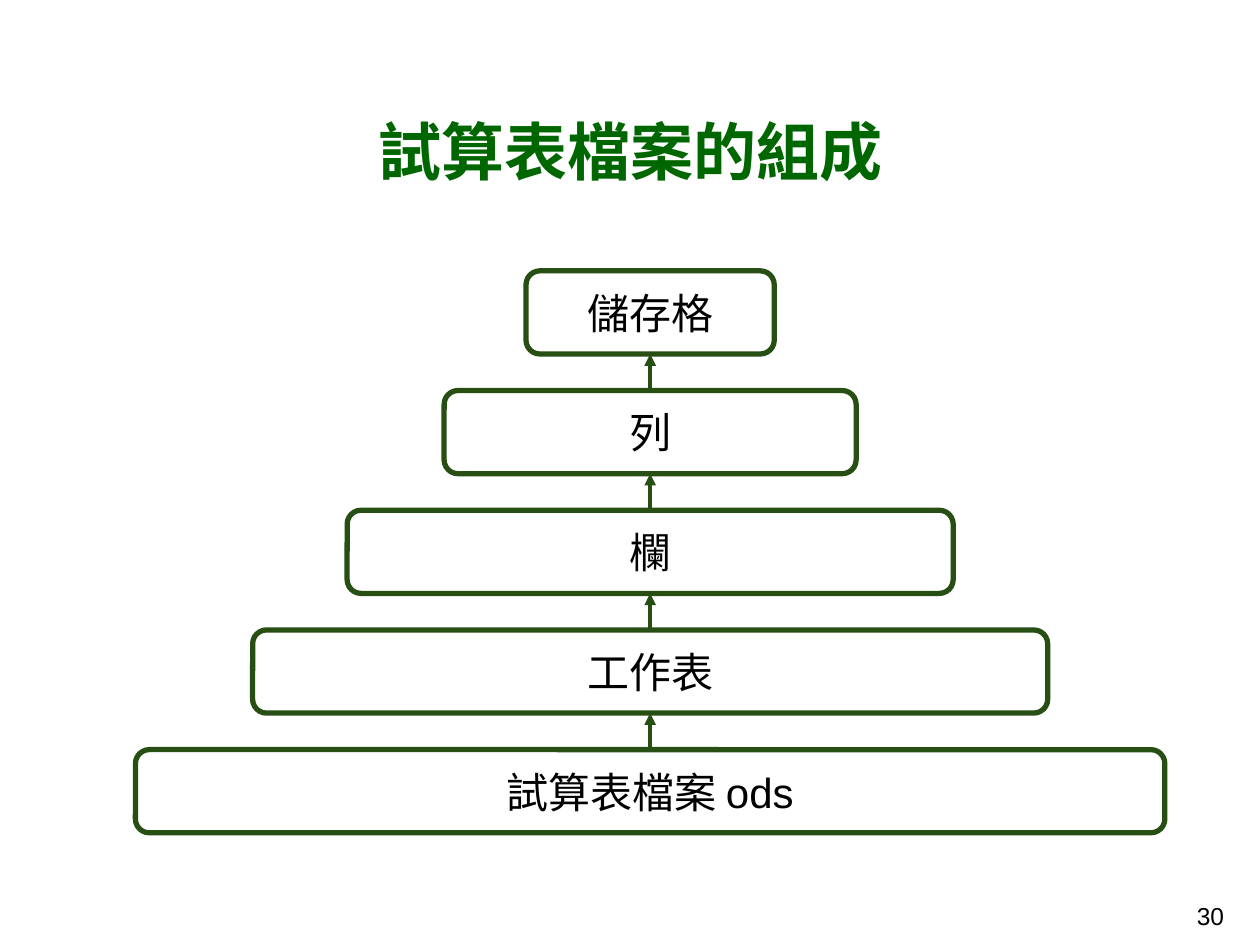
"""Build a slide showing the parts of a spreadsheet file as a stack of boxes."""
from lxml import etree
from pptx import Presentation
from pptx.dml.color import RGBColor
from pptx.enum.shapes import MSO_CONNECTOR, MSO_SHAPE
from pptx.enum.text import MSO_ANCHOR, PP_ALIGN
from pptx.oxml.ns import qn
from pptx.util import Inches, Pt

TITLE = "試算表檔案的組成"
NUMBER = "30"
LEVELS = [
    ("儲存格", 1.97),
    ("列", 3.27),
    ("欄", 4.81),
    ("工作表", 6.31),
    ("試算表檔案 ods", 8.17),
]
MID, TOP, STEP, HIGH = 5.16, 2.15, 0.95, 0.66

GREEN = RGBColor(0x00, 0x66, 0x00)
DARK = RGBColor(0x27, 0x4E, 0x13)
BLACK = RGBColor(0, 0, 0)
WHITE = RGBColor(255, 255, 255)
LATIN, ASIAN = "Arial", "Noto Sans CJK SC"
ROUND = MSO_SHAPE.ROUNDED_RECTANGLE
STRAIGHT = MSO_CONNECTOR.STRAIGHT
MIDDLE = MSO_ANCHOR.MIDDLE
LEFT, CENTER = PP_ALIGN.LEFT, PP_ALIGN.CENTER


def write(shape, text, size, color=BLACK, align=CENTER, face=LATIN, bold=False):
    frame = shape.text_frame
    frame.word_wrap = True
    frame.vertical_anchor = MIDDLE
    frame.margin_left = frame.margin_right = Inches(0.1)
    frame.margin_top = frame.margin_bottom = Inches(0.1)
    para = frame.paragraphs[0]
    para.alignment = align
    run = para.add_run()
    run.text = text
    font = run.font
    font.size, font.bold, font.name = Pt(size), bold, face
    font.color.rgb = color
    east = etree.SubElement(run._r.get_or_add_rPr(), qn("a:ea"))
    east.set("typeface", ASIAN)


def add_box(slide, text, width, top):
    box = slide.shapes.add_shape(
        ROUND, Inches(MID - width / 2), Inches(top), Inches(width), Inches(HIGH))
    box.shadow.inherit = False
    box.adjustments[0] = 0.167
    box.fill.solid()
    box.fill.fore_color.rgb = WHITE
    box.line.color.rgb = DARK
    box.line.width = Pt(3)
    write(box, text, 24)
    return box


def add_arrow(slide, lower, upper):
    arrow = slide.shapes.add_connector(STRAIGHT, 0, 0, 0, 0)
    arrow.begin_connect(lower, 0)
    arrow.end_connect(upper, 2)
    arrow.line.color.rgb = DARK
    arrow.line.width = Pt(2.25)
    etree.SubElement(arrow.line._get_or_add_ln(), qn("a:tailEnd"), type="triangle")
    etree.SubElement(arrow._element.spPr, qn("a:effectLst"))


def main():
    deck = Presentation()
    deck.slide_width, deck.slide_height = Inches(10), Inches(7.5)
    slide = deck.slides.add_slide(deck.slide_layouts[5])

    title = slide.shapes.title
    title.left, title.top = Inches(0.34), Inches(0.75)
    title.width, title.height = Inches(9.32), Inches(0.89)
    write(title, TITLE, 36, GREEN, face=ASIAN, bold=True)

    number = slide.shapes.add_textbox(
        Inches(9.4), Inches(7.04), Inches(0.6), Inches(0.46))
    write(number, NUMBER, 14, align=LEFT)

    boxes = [add_box(slide, text, width, TOP + row * STEP)
             for row, (text, width) in enumerate(LEVELS)]
    for upper, lower in zip(boxes, boxes[1:]):
        add_arrow(slide, lower, upper)

    deck.save("out.pptx")


if __name__ == "__main__":
    main()
